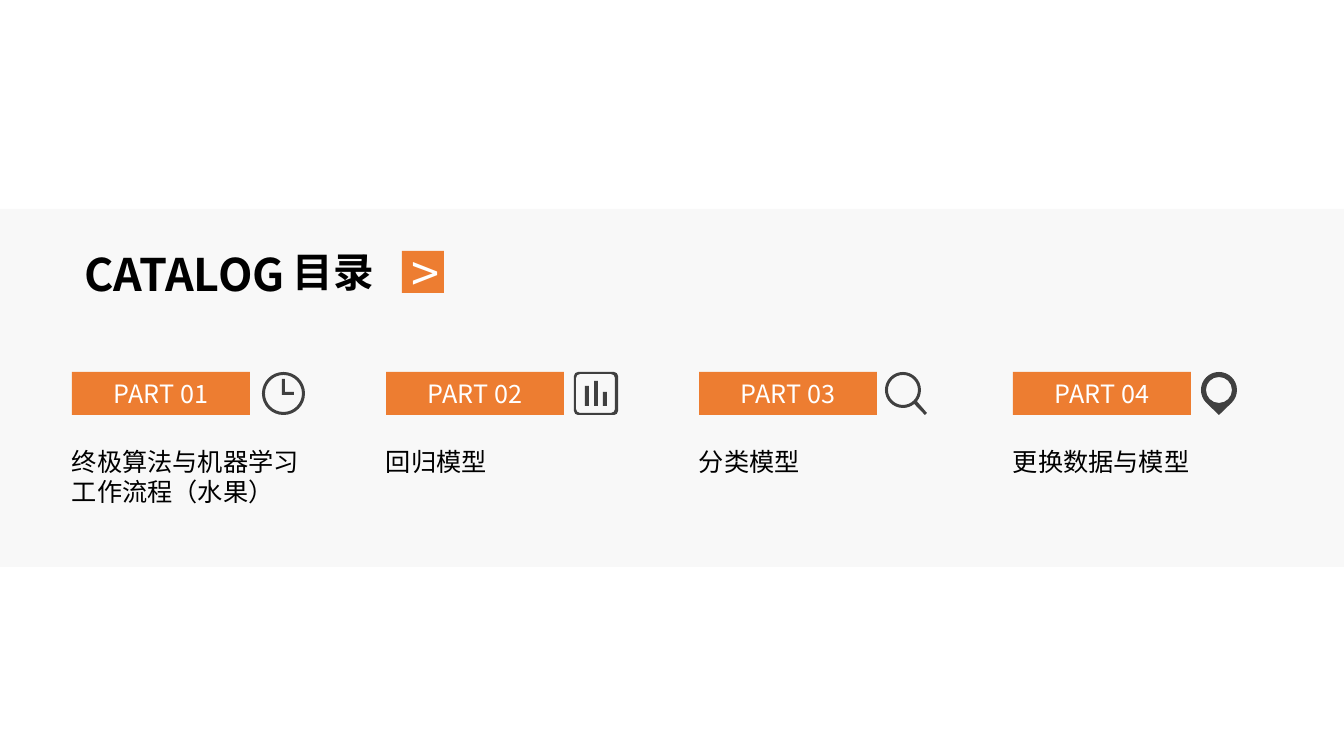
from itertools import chain
from math import cos, radians, sin, tan

from lxml.etree import SubElement
from pptx import Presentation
from pptx.dml.color import RGBColor
from pptx.enum.shapes import MSO_SHAPE as Shape
from pptx.enum.text import MSO_ANCHOR as Anchor, MSO_AUTO_SIZE as AutoSize, PP_ALIGN as Align
from pptx.oxml.ns import qn
from pptx.util import Pt

PX = 914400 / 100.8
FONT = "Noto Sans CJK SC"
ORANGE, DARK, PALE, BLACK, WHITE = "ED7D31", "404040", "F8F8F8", "000000", "FFFFFF"

SLIDE_SIZE = (1344, 756)
BAND = (0, 209, 1344, 358)
TITLE = ("CATALOG", (45, 242, 250, 64))
SUBTITLE = ("目录", (283, 242, 114, 61))
ARROW = (">", (402, 251, 42, 42))

# label, topic, lines in topic, icon, icon left
PARTS = [
    ("PART 01", "终极算法与机器学习工作流程（水果）", 2, "clock", 262),
    ("PART 02", "回归模型", 1, "chart", 574),
    ("PART 03", "分类模型", 1, "search", 885),
    ("PART 04", "更换数据与模型", 1, "pin", 1201),
]
FIRST_LEFT, PITCH = 72, 313.67
LABEL_TOP, LABEL_WIDTH, LABEL_HEIGHT = 372, 178, 43
TOPIC_TOP, TOPIC_WIDTH, LINE_HEIGHT, TOPIC_PADDING = 441, 250, 31, 10


def arc(x, y, radius, angles=(0, 90, 180, 270, 360)):
    """A start point, then one Bezier segment of three points per pair of angles."""
    turns = [radians(angle) for angle in angles]
    segments = [[(x + radius * cos(turns[0]), y + radius * sin(turns[0]))]]
    for a, b in zip(turns, turns[1:]):
        pull = 4 / 3 * tan((b - a) / 4)
        offsets = [(cos(a) - pull * sin(a), sin(a) + pull * cos(a)),
                   (cos(b) + pull * sin(b), sin(b) - pull * cos(b)),
                   (cos(b), sin(b))]
        segments.append([(x + radius * dx, y + radius * dy) for dx, dy in offsets])
    return segments


def lines(*points):
    return [[point] for point in points]


def box(left, top, right, bottom):
    return lines((left, top), (right, top), (right, bottom), (left, bottom))


def rounded_box(left, top, right, bottom, radius):
    near_x, far_x = left + radius, right - radius
    near_y, far_y = top + radius, bottom - radius
    corners = [(far_x, far_y), (near_x, far_y), (near_x, near_y), (far_x, near_y)]
    return [segment for i, (x, y) in enumerate(corners)
            for segment in arc(x, y, radius, (90 * i, 90 * i + 90))]


ICONS = {
    "clock": [lines((20, 7), (23, 7), (23, 20), (32, 20), (32, 23), (20, 23)),
              arc(21.5, 21.5, 18.5), arc(21.5, 21.5, 21.5)],
    "chart": [box(29, 20, 33, 34), box(11, 14, 15, 34), box(20, 9, 24, 34),
              rounded_box(2, 2, 41, 41, 4), rounded_box(0, 0, 44, 43, 4)],
    "search": [arc(18, 18, 15),
               arc(18, 18, 18, (51, 90, 180, 270, 360, 399)) + lines((42, 41), (40, 43))],
    "pin": [arc(18, 18, 13),
            arc(18, 18, 18, (135, 180, 270, 360, 405)) + lines((18, 43))],
}


def emu(lengths):
    return [round(length * PX) for length in lengths]


def color(hex_text):
    return RGBColor.from_string(hex_text)


def paint(shape, fill):
    shape.fill.solid()
    shape.fill.fore_color.rgb = color(fill)
    shape.line.fill.background()
    shape.shadow.inherit = False


def write(shape, text, size, ink, align=Align.LEFT, bold=False, **frame_values):
    frame = shape.text_frame
    frame_format = {"word_wrap": True, "auto_size": AutoSize.NONE,
                    "vertical_anchor": Anchor.TOP, **frame_values}
    for name, value in frame_format.items():
        setattr(frame, name, value)
    paragraph = frame.paragraphs[0]
    paragraph.alignment = align
    run = paragraph.add_run()
    run.text = text
    for name, value in {"name": FONT, "size": Pt(size), "bold": bold}.items():
        setattr(run.font, name, value)
    run.font.color.rgb = color(ink)
    SubElement(run._r.get_or_add_rPr(), qn("a:ea")).set("typeface", FONT)


def add_box(slide, place, fill):
    shape = slide.shapes.add_shape(Shape.RECTANGLE, *emu(place))
    paint(shape, fill)
    return shape


def bend(shape, contours):
    """Turn each run of three straight lines that stands for a curve into one Bezier."""
    straight_lines = iter(list(shape._element.iter(qn("a:lnTo"))))
    for segment in chain.from_iterable(contour[1:] for contour in contours):
        first, *others = [next(straight_lines) for _ in segment]
        if others:
            curve = first.makeelement(qn("a:cubicBezTo"))
            first.addprevious(curve)
            for line in (first, *others):
                curve.append(line[0])
                line.getparent().remove(line)


def add_icon(slide, contours, left, top):
    outlines = [[emu((left + x, top + y)) for x, y in chain.from_iterable(contour)]
                for contour in contours]
    builder = slide.shapes.build_freeform(*outlines[0][0], scale=1.0)
    for i, outline in enumerate(outlines):
        if i:
            builder.move_to(*outline[0])
        builder.add_line_segments(outline[1:], close=True)
    icon = builder.convert_to_shape()
    bend(icon, contours)
    paint(icon, DARK)


def add_part(slide, left, label, topic, line_count, icon, icon_left):
    label_box = add_box(slide, (left, LABEL_TOP, LABEL_WIDTH, LABEL_HEIGHT), ORANGE)
    write(label_box, label, 18, WHITE, Align.CENTER, vertical_anchor=Anchor.MIDDLE)
    add_icon(slide, ICONS[icon], icon_left, LABEL_TOP)
    place = (left, TOPIC_TOP, TOPIC_WIDTH, line_count * LINE_HEIGHT + TOPIC_PADDING)
    topic_box = slide.shapes.add_textbox(*emu(place))
    write(topic_box, topic, 18, BLACK, margin_left=0, margin_right=0)


def main():
    presentation = Presentation()
    presentation.slide_width, presentation.slide_height = emu(SLIDE_SIZE)
    slide = presentation.slides.add_slide(presentation.slide_layouts[5])

    band = add_box(slide, BAND, PALE)
    title = slide.shapes.title
    band._element.addnext(title._element)  # the title lies in front of the band
    text, place = TITLE
    title.left, title.top, title.width, title.height = emu(place)
    write(title, text, 32, BLACK, Align.RIGHT, bold=True)

    text, place = SUBTITLE
    write(slide.shapes.add_textbox(*emu(place)), text, 29, BLACK, bold=True)
    text, place = ARROW
    write(add_box(slide, place, ORANGE), text, 36, WHITE, Align.CENTER,
          vertical_anchor=Anchor.MIDDLE)

    for i, part in enumerate(PARTS):
        add_part(slide, round(FIRST_LEFT + i * PITCH), *part)
    presentation.save("out.pptx")


if __name__ == "__main__":
    main()
